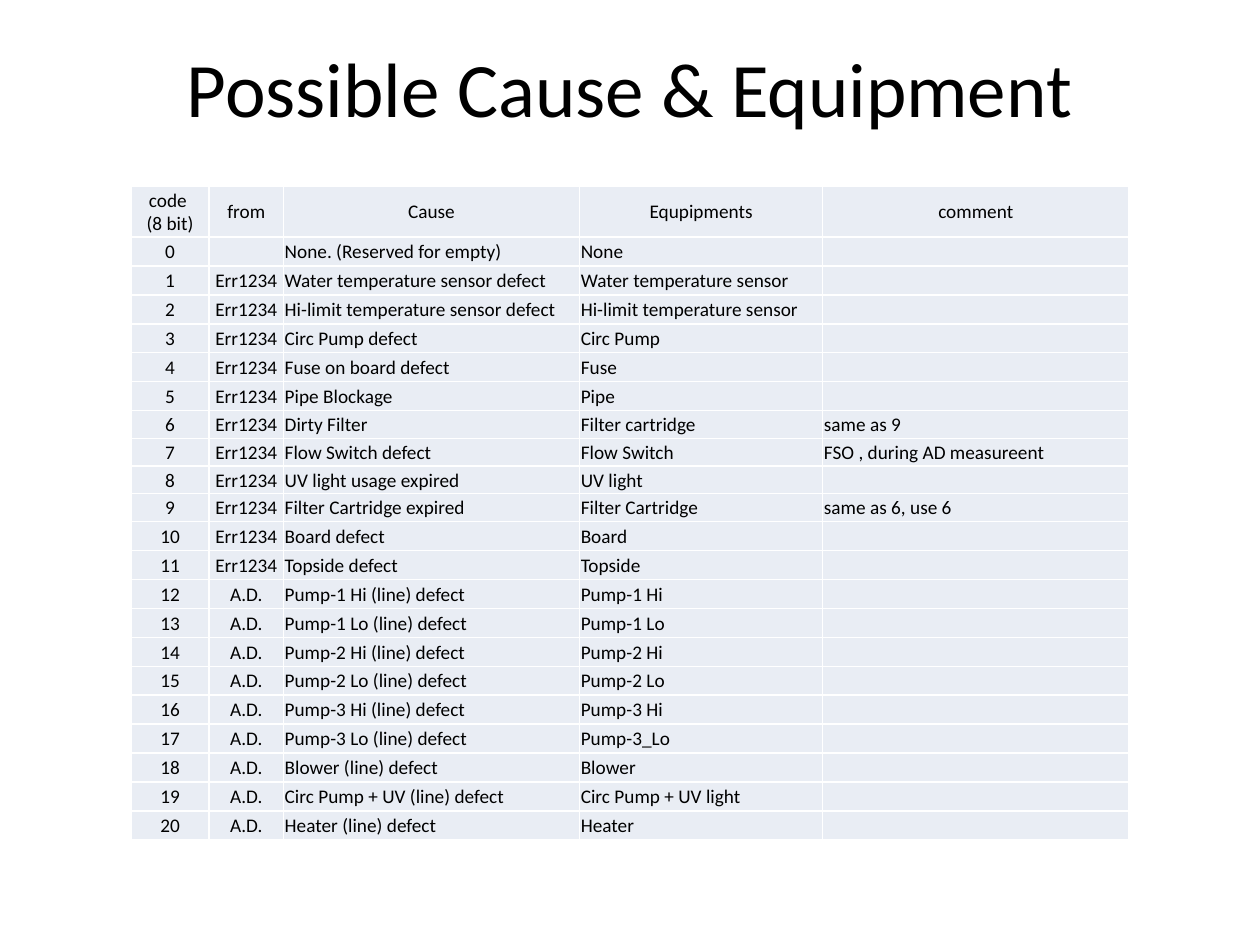
from lxml import etree
from pptx import Presentation
from pptx import util as u
from pptx.dml import color
from pptx.enum import text
from pptx.oxml import ns

HEADINGS = ("code \n(8 bit)", "from", "Cause", "Equpipments", "comment")
CAUSES = [
    ("None. (Reserved for empty)", "None"),
    ("Water temperature sensor defect", "Water temperature sensor"),
    ("Hi-limit temperature sensor defect", "Hi-limit temperature sensor"),
    ("Circ Pump defect", "Circ Pump"),
    ("Fuse on board defect", "Fuse"),
    ("Pipe Blockage", "Pipe"),
    ("Dirty Filter", "Filter cartridge"),
    ("Flow Switch defect", "Flow Switch"),
    ("UV light usage expired", "UV light"),
    ("Filter Cartridge expired", "Filter Cartridge"),
    ("Board defect", "Board"),
    ("Topside defect", "Topside"),
    ("Pump-1 Hi (line) defect", "Pump-1 Hi"),
    ("Pump-1 Lo (line) defect", "Pump-1 Lo"),
    ("Pump-2 Hi (line) defect", "Pump-2 Hi"),
    ("Pump-2 Lo (line) defect", "Pump-2 Lo"),
    ("Pump-3 Hi (line) defect", "Pump-3 Hi"),
    ("Pump-3 Lo (line) defect", "Pump-3_Lo"),
    ("Blower (line) defect", "Blower"),
    ("Circ Pump + UV (line) defect", "Circ Pump + UV light"),
    ("Heater (line) defect", "Heater"),
]
COMMENTS = {6: "same as 9", 7: "FSO , during AD measureent", 9: "same as 6, use 6"}
COLUMN_WIDTHS = (0.62, 0.59, 2.35, 1.93, 2.43)
HEADER_HEIGHT, ROW_HEIGHT, FILTER_ROW_HEIGHT = 0.4, 0.23, 0.22
FILTER_CODES = range(6, 10)
FIRST_LINE_CODE = 12
CELL_SIZE = 11
CELL_FORMAT = {
    "margin_left": u.Inches(0.01),
    "margin_right": u.Inches(0.01),
    "margin_top": u.Inches(0.01),
    "margin_bottom": 0,
    "vertical_anchor": text.MSO_ANCHOR.MIDDLE,
}


def rgb(value):
    return color.RGBColor.from_string(value)


def apply_format(target, values):
    for name, value in values.items():
        setattr(target, name, value)


def set_font(font, size):
    apply_format(font, {"name": "Calibri", "size": u.Pt(size)})
    font.color.rgb = rgb("000000")


def add_title(slide, wording):
    title = slide.shapes.title
    apply_format(title, {
        "left": u.Inches(0.5), "top": u.Inches(0.06),
        "width": u.Inches(9), "height": u.Inches(1.25),
    })
    title.text_frame.text = wording
    title.text_frame.vertical_anchor = text.MSO_ANCHOR.MIDDLE
    heading = title.text_frame.paragraphs[0]
    heading.alignment = text.PP_ALIGN.CENTER
    set_font(heading.runs[0].font, 44)


def add_borders(cell, hex_color):
    properties = cell._tc.get_or_add_tcPr()
    for position, side in enumerate(("lnL", "lnR", "lnT", "lnB")):
        border = etree.Element(ns.qn(f"a:{side}"), w=str(u.Pt(1)))
        fill = etree.SubElement(border, ns.qn("a:solidFill"))
        etree.SubElement(fill, ns.qn("a:srgbClr"), val=hex_color)
        properties.insert(position, border)


def fill_cell(cell, wording, centred):
    apply_format(cell, CELL_FORMAT)
    cell.fill.solid()
    cell.fill.fore_color.rgb = rgb("E9EDF4")
    add_borders(cell, "FFFFFF")
    entry = cell.text_frame.paragraphs[0]
    entry.text = wording
    entry.alignment = text.PP_ALIGN.CENTER if centred else text.PP_ALIGN.LEFT
    for run in entry.runs:
        set_font(run.font, CELL_SIZE)
    size = str(CELL_SIZE * 100)
    for line_break in entry._p.findall(ns.qn("a:br")):
        etree.SubElement(line_break, ns.qn("a:rPr"), sz=size)
    if not wording:
        entry._p.get_or_add_endParaRPr().set("sz", size)


def cause_row(code, cause, equipment):
    if code == 0:
        origin = ""
    else:
        origin = "Err1234" if code < FIRST_LINE_CODE else "A.D."
    return str(code), origin, cause, equipment, COMMENTS.get(code, "")


def add_cause_table(slide):
    entries = [HEADINGS] + [cause_row(code, *pair) for code, pair in enumerate(CAUSES)]
    heights = [HEADER_HEIGHT] + [
        FILTER_ROW_HEIGHT if code in FILTER_CODES else ROW_HEIGHT
        for code in range(len(CAUSES))
    ]
    causes = slide.shapes.add_table(
        len(entries), len(HEADINGS), u.Inches(1.04), u.Inches(1.48),
        u.Inches(sum(COLUMN_WIDTHS)), u.Inches(sum(heights)),
    ).table
    for column, width in zip(causes.columns, COLUMN_WIDTHS):
        column.width = u.Inches(width)
    for row_index, (row, height, entry) in enumerate(zip(causes.rows, heights, entries)):
        row.height = u.Inches(height)
        for column_index, (cell, wording) in enumerate(zip(row.cells, entry)):
            fill_cell(cell, wording, row_index == 0 or column_index < 2)


def main():
    deck = Presentation()
    apply_format(deck, {"slide_width": u.Inches(10), "slide_height": u.Inches(7.5)})
    slide = deck.slides.add_slide(deck.slide_layouts[5])
    add_title(slide, "Possible Cause & Equipment")
    add_cause_table(slide)
    deck.save("out.pptx")


if __name__ == "__main__":
    main()
